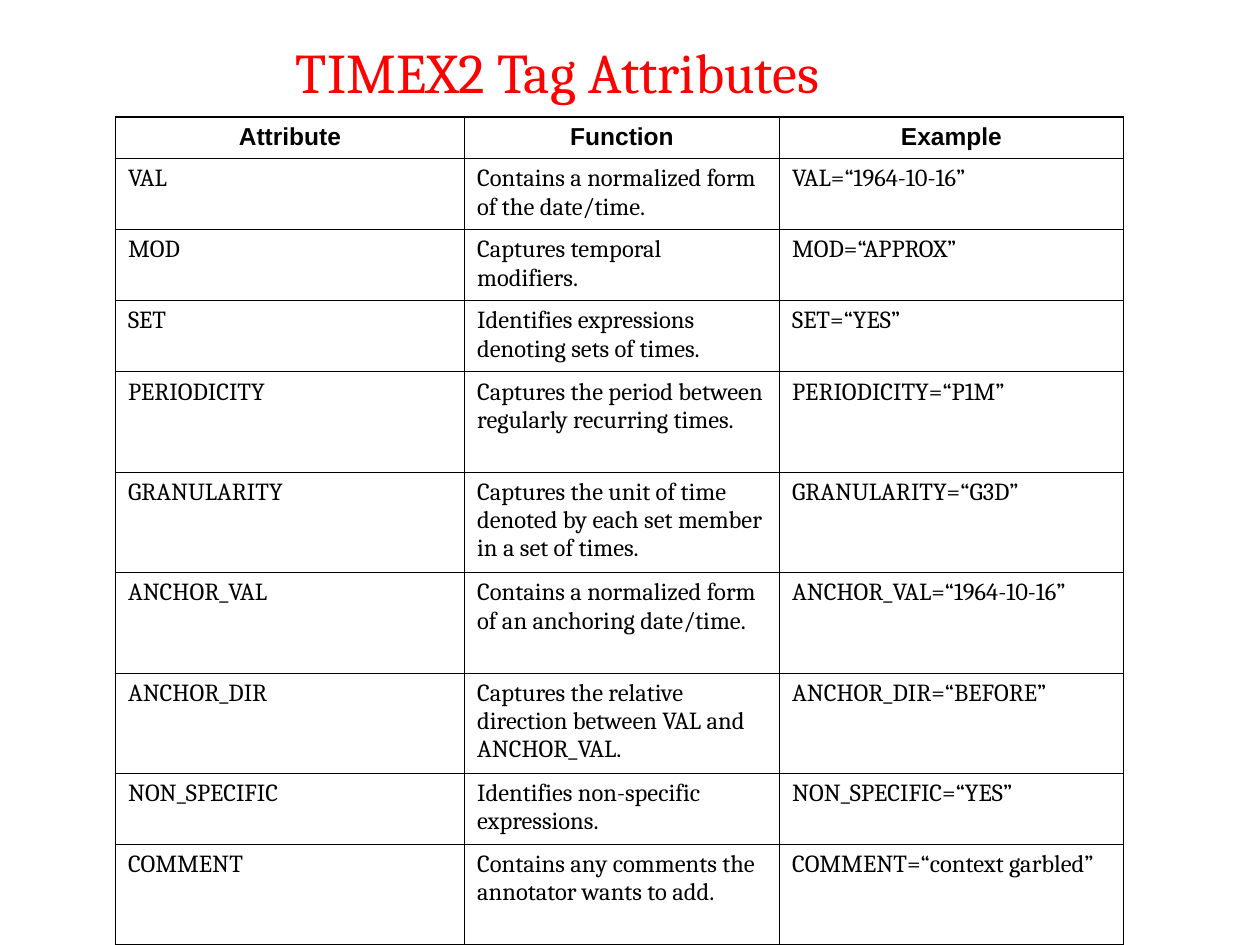
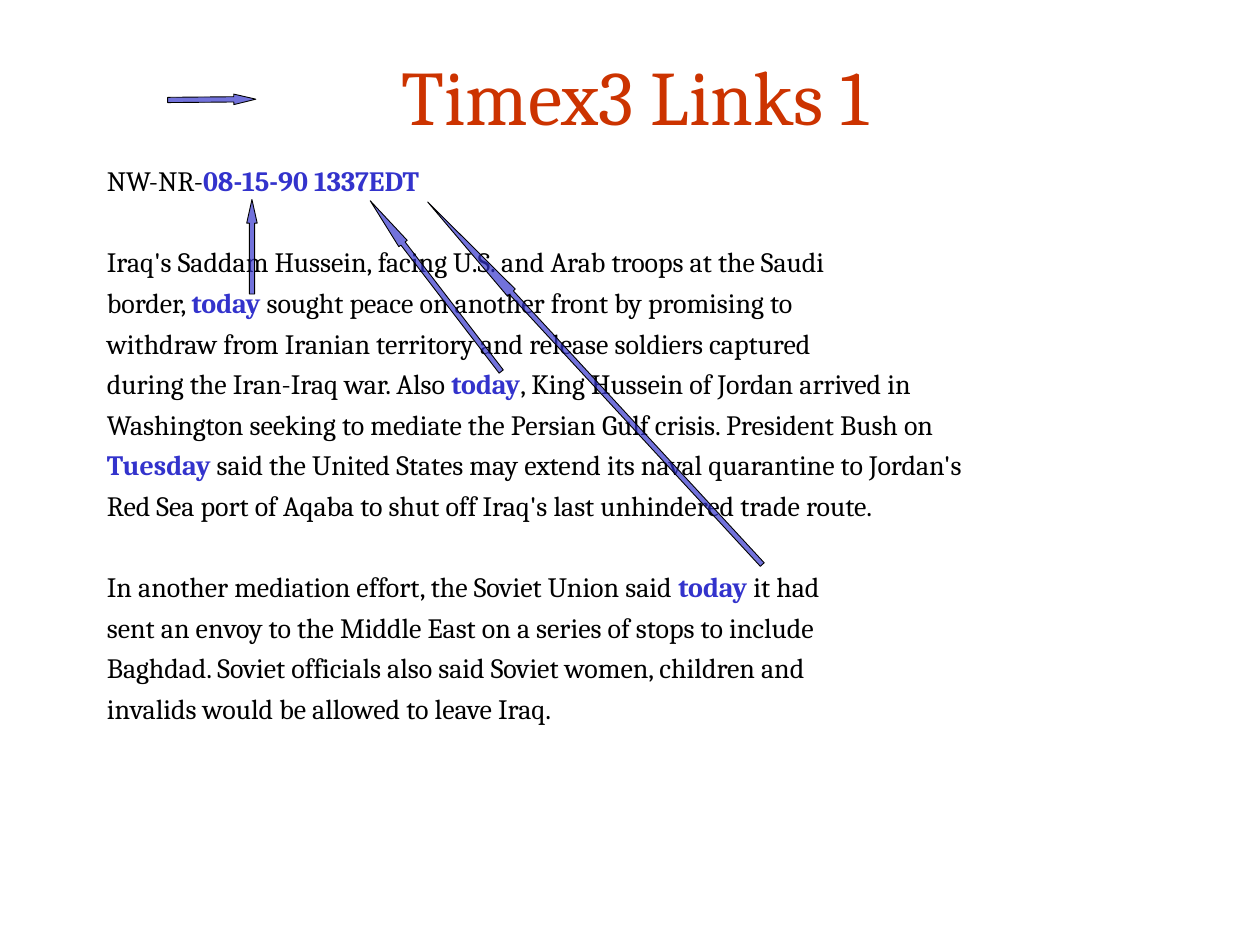
from lxml import etree
from pptx import Presentation
from pptx.dml.color import RGBColor
from pptx.enum.shapes import MSO_SHAPE
from pptx.enum.text import MSO_ANCHOR, PP_ALIGN
from pptx.oxml.ns import qn
from pptx.util import Pt

LEFT, CENTER = PP_ALIGN.LEFT, PP_ALIGN.CENTER
TOP, MIDDLE = MSO_ANCHOR.TOP, MSO_ANCHOR.MIDDLE
UP_ARROW = MSO_SHAPE.UP_ARROW

BLACK = RGBColor(0x00, 0x00, 0x00)
RED = RGBColor(0xFF, 0x00, 0x00)
BRICK = RGBColor(0xCC, 0x33, 0x00)
BLUE = RGBColor(0x33, 0x33, 0xCC)
SERIF, SANS = "Cambria", "Arial"

HEADERS = ("Attribute", "Function", "Example")
# attribute, function, example value, row height
ATTRIBUTES = [
    ("VAL", "Contains a normalized form of the date/time.", "1964-10-16", 40.6),
    ("MOD", "Captures temporal modifiers.", "APPROX", 40.6),
    ("SET", "Identifies expressions denoting sets of times.", "YES", 40.6),
    ("PERIODICITY", "Captures the period between regularly recurring times.", "P1M", 57.4),
    ("GRANULARITY", "Captures the unit of time denoted by each set member in a set of times.",
     "G3D", 57.4),
    ("ANCHOR_VAL", "Contains a normalized form of an anchoring date/time.", "1964-10-16", 57.4),
    ("ANCHOR_DIR", "Captures the relative direction between VAL and ANCHOR_VAL.", "BEFORE", 57.4),
    ("NON_SPECIFIC", "Identifies non-specific expressions.", "YES", 40.6),
    ("COMMENT", "Contains any comments the annotator wants to add.", "context garbled", 57.4),
]
HEADER_HEIGHT = 23.6
COLUMN_WIDTHS = (199.5, 180, 196.5)
OUTER, INNER = 1.08, 0.45

# Time expressions stand between asterisks.
ARTICLE = [
    ["NW-NR-*08-15-90 1337EDT*"],
    ["Iraq's Saddam Hussein, facing U.S. and Arab troops at the Saudi",
     "border, *today* sought peace on another front by promising to",
     "withdraw from Iranian territory and release soldiers captured",
     "during the Iran-Iraq war. Also *today*, King Hussein of Jordan arrived in",
     "Washington seeking to mediate the Persian Gulf crisis. President Bush on",
     "*Tuesday* said the United States may extend its naval quarantine to Jordan's",
     "Red Sea port of Aqaba to shut off Iraq's last unhindered trade route."],
    ["In another mediation effort, the Soviet Union said *today* it had",
     "sent an envoy to the Middle East on a series of stops to include",
     "Baghdad. Soviet officials also said Soviet women, children and",
     "invalids would be allowed to leave Iraq."],
]
LINE_GAP, BLOCK_GAP, HANGING = 4, 27.2, 27

# left, top, length, rotation
LINK_ARROWS = [
    (141, 114, 54, 0),
    (246, 102, 123, 322.5),
    (337, 78, 282, 317.3),
    (118, 31.7, 50.4, 89.5),
]
ARROW_WIDTH, HEAD_SHARE, ARROW_ALPHA = 6, 0.25, 69


def write(p, text, size=16, font=SERIF, color=BLACK, bold=False, align=LEFT, before=0):
    """Fill a paragraph; parts between asterisks become bold blue."""
    p.alignment, p.space_before = align, Pt(before)
    for i, part in enumerate(text.split("*")):
        if not part:
            continue
        marked = i % 2 == 1
        r = p.add_run()
        r.text = part
        r.font.name, r.font.size = font, Pt(size)
        r.font.bold = bold or marked
        r.font.color.rgb = BLUE if marked else color


def add_box(slide, left, top, width, height, anchor=TOP):
    tf = slide.shapes.add_textbox(Pt(left), Pt(top), Pt(width), Pt(height)).text_frame
    tf.word_wrap, tf.vertical_anchor = True, anchor
    return tf


def set_borders(cell, **widths):
    tcPr = cell._tc.get_or_add_tcPr()
    for side, width in widths.items():
        ln = etree.SubElement(tcPr, qn(f"a:ln{side}"), w=str(Pt(width)))
        fill = etree.SubElement(ln, qn("a:solidFill"))
        etree.SubElement(fill, qn("a:srgbClr"), val=str(BLACK))


def add_attribute_table(slide, left, top):
    rows = [HEADERS] + [(name, use, f"{name}=“{value}”") for name, use, value, _ in ATTRIBUTES]
    heights = [HEADER_HEIGHT] + [row[-1] for row in ATTRIBUTES]
    last_row, last_col = len(rows) - 1, len(HEADERS) - 1
    table = slide.shapes.add_table(len(rows), len(HEADERS), Pt(left), Pt(top),
                                   Pt(sum(COLUMN_WIDTHS)), Pt(sum(heights))).table
    table.first_row = table.horz_banding = False
    for column, width in zip(table.columns, COLUMN_WIDTHS):
        column.width = Pt(width)
    for i, (texts, height) in enumerate(zip(rows, heights)):
        table.rows[i].height = Pt(height)
        style = dict(font=SANS, bold=True, align=CENTER) if i == 0 else {}
        for j, text in enumerate(texts):
            cell = table.cell(i, j)
            write(cell.text_frame.paragraphs[0], text, size=14, before=6, **style)
            set_borders(cell, L=OUTER if j == 0 else INNER, R=OUTER if j == last_col else INNER,
                        T=OUTER if i == 0 else INNER, B=OUTER if i == last_row else INNER)
            cell.fill.background()


def add_article(tf):
    p = tf.paragraphs[0]
    for b, block in enumerate(ARTICLE):
        for n, line in enumerate(block):
            if b or n:
                p = tf.add_paragraph()
            write(p, line, before=BLOCK_GAP if b and n == 0 else LINE_GAP)
            pPr = p._p.get_or_add_pPr()
            pPr.set("marL", str(Pt(HANGING)))
            pPr.set("indent", str(Pt(-HANGING)))


def add_link_arrow(slide, left, top, length, rotation):
    sp = slide.shapes.add_shape(UP_ARROW, Pt(left), Pt(top), Pt(ARROW_WIDTH), Pt(length))
    sp.adjustments[0] = 0.5
    sp.adjustments[1] = HEAD_SHARE * length / ARROW_WIDTH
    sp.rotation = rotation
    sp.shadow.inherit = False
    sp.fill.solid()
    sp.fill.fore_color.rgb = BLUE
    color = sp._element.spPr.find(qn("a:solidFill"))[0]
    etree.SubElement(color, qn("a:alpha"), val=str(ARROW_ALPHA * 1000))
    sp.line.color.rgb, sp.line.width = BLACK, Pt(0.5)


def main():
    prs = Presentation()
    prs.slide_width, prs.slide_height = Pt(720), Pt(540)
    blank = prs.slide_layouts[6]

    s = prs.slides.add_slide(blank)
    add_attribute_table(s, 66, 67)
    write(add_box(s, 162, 18, 444, 46).paragraphs[0], "TIMEX2 Tag Attributes",
          size=32, color=RED, before=20)

    s = prs.slides.add_slide(blank)
    write(add_box(s, 114, 18, 498, 72, MIDDLE).paragraphs[0], "Timex3 Links 1",
          size=44, color=BRICK, align=CENTER)
    add_article(add_box(s, 54, 90, 630, 420))
    for arrow in LINK_ARROWS:
        add_link_arrow(s, *arrow)

    prs.save("out.pptx")


if __name__ == "__main__":
    main()
